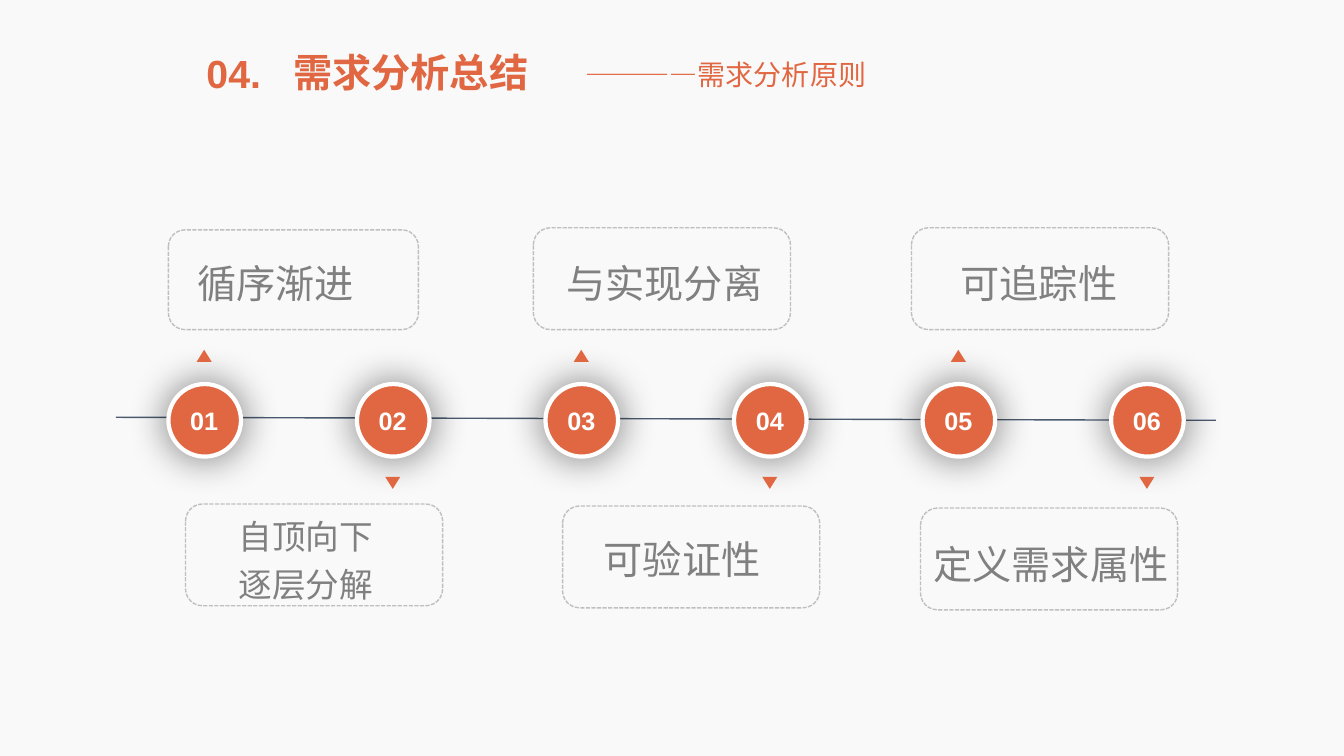
from lxml import etree
from pptx import Presentation
from pptx import util as u
from pptx.dml.color import RGBColor
from pptx.enum import dml, shapes, text
from pptx.oxml.ns import qn

ORANGE, GREY, WHITE = "E06741", "808080", "FFFFFF"
KIND = shapes.MSO_SHAPE
ALIGN = text.PP_ALIGN


def rgb(code):
    return RGBColor.from_string(code)


def add(parent, tag, **attrs):
    return etree.SubElement(parent, qn(tag), attrs)


class Board:
    font = "Arial"
    cjk = "Noto Sans CJK SC"

    def __init__(self, slide):
        self.slide = slide
        fill = slide.background.fill
        fill.solid()
        fill.fore_color.rgb = rgb("F9F9F9")

    def letter(self, frame, lines, size, color, bold=False, align=None,
               space=None, font=None):
        """Fill a text frame, one paragraph per line."""
        frame.auto_size = text.MSO_AUTO_SIZE.NONE
        frame.vertical_anchor = text.MSO_ANCHOR.TOP
        for i, line in enumerate(lines):
            para = frame.add_paragraph() if i else frame.paragraphs[0]
            para.alignment = align
            para.line_spacing = space
            run = para.add_run()
            run.text = line
            run.font.size = u.Pt(size)
            run.font.bold = bold
            run.font.name = font or self.font
            run.font.color.rgb = rgb(color)
            add(run._r.get_or_add_rPr(), "a:ea", typeface=self.cjk)

    def title(self, box, line):
        shape = self.slide.shapes.title
        shape.left, shape.top, shape.width, shape.height = map(u.Inches, box)
        shape.text_frame.word_wrap = True
        self.letter(shape.text_frame, [line], 28, ORANGE, True, ALIGN.CENTER)

    def label(self, box, lines, size, color, wrap=True, **style):
        shape = self.slide.shapes.add_textbox(*map(u.Inches, box))
        shape.text_frame.word_wrap = wrap
        self.letter(shape.text_frame, lines, size, color, **style)

    def shape(self, kind, box, fill=None):
        item = self.slide.shapes.add_shape(kind, *map(u.Inches, box))
        item.shadow.inherit = False
        if fill:
            item.fill.solid()
            item.fill.fore_color.rgb = rgb(fill)
        else:
            item.fill.background()
        item.line.fill.background()
        return item

    def edge(self, item, color, width):
        item.line.color.rgb = rgb(color)
        item.line.width = u.Pt(width)

    def frame(self, box):
        item = self.shape(KIND.ROUNDED_RECTANGLE, box)
        self.edge(item, "BFBFBF", 1)
        item.line.dash_style = dml.MSO_LINE.SQUARE_DOT

    def disc(self, box):
        """Draw a white-rimmed circle with a soft glow-like shadow."""
        item = self.shape(KIND.OVAL, box, ORANGE)
        self.edge(item, WHITE, 3)
        effects = item._element.spPr.find(qn("a:effectLst"))
        shadow = add(effects, "a:outerShdw", blurRad=str(u.Pt(29)), dist="0",
                     dir="0", algn="ctr", rotWithShape="0")
        color = add(shadow, "a:srgbClr", val="000000")
        add(color, "a:alpha", val="52000")

    def line(self, start, end, color):
        item = self.slide.shapes.add_connector(
            shapes.MSO_CONNECTOR.STRAIGHT, *map(u.Inches, start + end))
        self.edge(item, color, 1)
        add(item._element.spPr, "a:effectLst")


# frame box, text box, text lines, text size
STEPS = [
    ((1.67, 2.28, 2.48, 0.99), (1.86, 2.43, 2.24, 0.66), ["循序渐进"], 28),
    ((1.84, 5, 2.55, 1.01), (2.27, 4.99, 2.24, 1.07),
     ["自顶向下", "逐层分解"], 24),
    ((5.29, 2.26, 2.55, 1.01), (5.52, 2.43, 2.24, 0.66), ["与实现分离"], 28),
    ((5.58, 5.02, 2.55, 1.01), (5.89, 5.17, 1.95, 0.66), ["可验证性"], 28),
    ((9.04, 2.26, 2.55, 1.01), (9.43, 2.43, 1.91, 0.66), ["可追踪性"], 28),
    ((9.13, 5.04, 2.55, 1.01), (9.16, 5.22, 2.72, 0.66), ["定义需求属性"], 28),
]
PITCH = 1.87


def main():
    deck = Presentation()
    deck.slide_width, deck.slide_height = u.Inches(13.33), u.Inches(7.5)
    board = Board(deck.slides.add_slide(deck.slide_layouts[5]))

    board.title((2, 0.43, 4.15, 0.57), "需求分析总结")
    board.label((1.95, 0.44, 0.74, 0.57), ["04."], 28, ORANGE, wrap=False,
                bold=True)
    board.label((5.71, 0.47, 4.63, 0.48), ["————需求分析原则"], 20, ORANGE,
                space=1.14, font=board.cjk)

    board.line((1.15, 4.14), (12.06, 4.17), "4A5A6F")
    for i, (frame, place, lines, size) in enumerate(STEPS):
        shift = i * PITCH
        below = i % 2
        board.disc((1.67 + shift, 3.81, 0.72, 0.72))
        mark = board.shape(KIND.ISOSCELES_TRIANGLE,
                           (1.95 + shift, 4.73 if below else 3.47, 0.15, 0.12),
                           ORANGE)
        mark.rotation = 180 * below
        board.frame(frame)
        board.label(place, lines, size, GREY, align=ALIGN.JUSTIFY, space=1.2)
        board.label((1.78 + shift, 3.97, 0.49, 0.4), [f"{i + 1:02}"], 18,
                    WHITE, bold=True, align=ALIGN.CENTER)

    deck.save("out.pptx")


if __name__ == "__main__":
    main()
